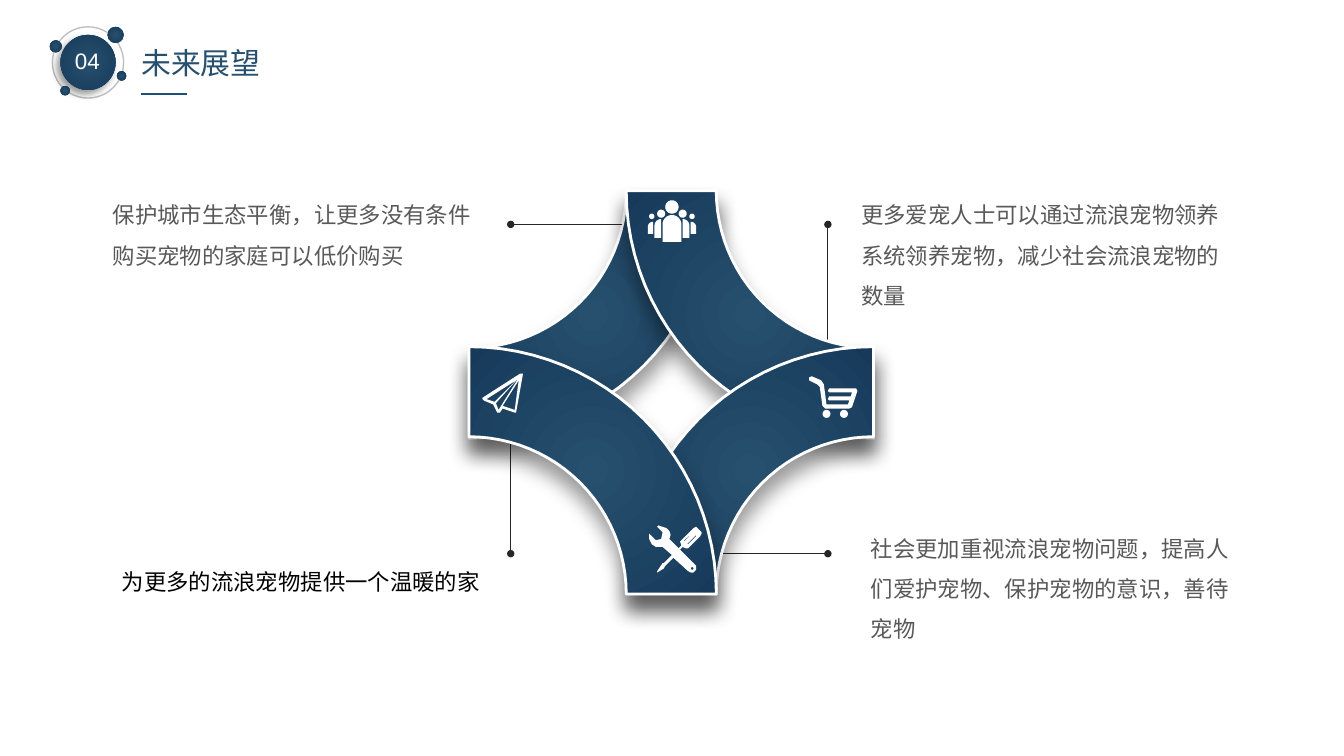
from math import cos, radians, sin

from lxml import etree
from pptx import Presentation
from pptx.dml.color import RGBColor
from pptx.enum.shapes import MSO_CONNECTOR, MSO_SHAPE
from pptx.enum.text import MSO_ANCHOR, PP_ALIGN
from pptx.oxml import parse_xml
from pptx.oxml.ns import qn
from pptx.util import Inches, Pt

OVAL, STRAIGHT = MSO_SHAPE.OVAL, MSO_CONNECTOR.STRAIGHT
LEFT, CENTER, RIGHT = PP_ALIGN.LEFT, PP_ALIGN.CENTER, PP_ALIGN.RIGHT
NS = 'xmlns:a="http://schemas.openxmlformats.org/drawingml/2006/main"'
NAVY, DEEP, WHITE, GREY = "27506E", "173A5B", "FFFFFF", "595959"
WIDTH = 10
HEIGHT = WIDTH * 9 / 16

TITLE = "未来展望"
NUMBER = "04"
# text, left, top, width, height, line spacing, colour, alignment
NOTES = [
    ("更多爱宠人士可以通过流浪宠物领养系统领养宠物，减少社会流浪宠物的数量",
     6.31, 1.35, 2.95, 1.01, 1.5, GREY, LEFT),
    ("社会更加重视流浪宠物问题，提高人们爱护宠物、保护宠物的意识，善待宠物",
     6.38, 3.83, 2.95, 1.01, 1.5, GREY, LEFT),
    ("为更多的流浪宠物提供一个温暖的家",
     0.52, 4.18, 3.15, 0.3, 1, "000000", RIGHT),
    ("保护城市生态平衡，让更多没有条件购买宠物的家庭可以低价购买",
     0.74, 1.35, 2.95, 0.71, 1.5, GREY, LEFT),
]
# left, top, diameter
BADGE = (0.45, 0.26, 0.41)
RING = (0.39, 0.2, 0.53)
DOTS = [(0.8, 0.2, 0.12), (0.37, 0.3, 0.09), (0.45, 0.64, 0.07), (0.87, 0.53, 0.07)]
# each leader ends in a dot
LEADERS = [(4.63, 1.67, 3.8, 1.67), (3.8, 3.3, 3.8, 4.12),
           (5.37, 4.12, 6.16, 4.12), (6.16, 2.54, 6.16, 1.67)]
# each band is a quarter ring about one corner of a square
X1, X2, Y1, Y2 = 3.49, 6.5, 1.42, 4.42
OUTER, INNER = 1.84, 1.17
BAND_SHADOW, BADGE_SHADOW = (11, 8, 90), (4, 3, 135)


def arc(cx, cy, r, start, end, steps=24):
    angles = [radians(start + (end - start) * i / steps) for i in range(steps + 1)]
    return [(cx + r * cos(a), cy + r * sin(a)) for a in angles]


def circle(cx, cy, r):
    return arc(cx, cy, r, 0, 360)


def mirror(points, axis=5.0):
    return [(2 * axis - x, y) for x, y in points]


SIDE_PEOPLE = [
    circle(4.85, 1.61, 0.02),
    circle(4.92, 1.59, 0.03),
    arc(4.86, 1.69, 0.04, 180, 270) + [(4.86, 1.74), (4.82, 1.74)],
    arc(4.92, 1.68, 0.05, 180, 270) + [(4.92, 1.77), (4.87, 1.77)],
]
PEOPLE = SIDE_PEOPLE + [mirror(part) for part in SIDE_PEOPLE] + [
    circle(5, 1.54, 0.05),
    arc(5, 1.67, 0.07, 180, 360) + [(5.07, 1.8), (4.93, 1.8)],
]
CART = [
    [(6.37, 2.89), (6.17, 2.89), (6.16, 2.91), (6.17, 2.92), (6.34, 2.92),
     (6.33, 2.95), (6.17, 2.95), (6.16, 2.97), (6.17, 2.98), (6.32, 2.98),
     (6.31, 3.01), (6.15, 3.01), (6.13, 2.86), (6.11, 2.83), (6.04, 2.8),
     (6.02, 2.81), (6.02, 2.83), (6.08, 2.86), (6.1, 2.88), (6.12, 3.02),
     (6.14, 3.04), (6.32, 3.04), (6.34, 3.03), (6.38, 2.91)],
]
# left, top, diameter
WHEELS = [(6.12, 3.05, 0.06), (6.25, 3.05, 0.06)]
TOOLS = [
    [(5.22, 3.96), (5.18, 3.92), (5.16, 3.93), (5.06, 4.03), (5.07, 4.06),
     (5.05, 4.08), (4.98, 4.01), (4.99, 3.98), (4.98, 3.95), (4.96, 3.93),
     (4.93, 3.92), (4.9, 3.91), (4.89, 3.92), (4.93, 3.96), (4.92, 4.01),
     (4.88, 4.02), (4.83, 3.97), (4.83, 4.01), (4.85, 4.05), (4.88, 4.07),
     (4.93, 4.07), (5, 4.13), (4.94, 4.19), (4.93, 4.19), (4.89, 4.25),
     (4.89, 4.26), (4.94, 4.23), (4.95, 4.21), (5.01, 4.15), (5.12, 4.25),
     (5.14, 4.26), (5.16, 4.26), (5.18, 4.24), (5.18, 4.21), (5.06, 4.09),
     (5.08, 4.07), (5.1, 4.08), (5.12, 4.08), (5.21, 3.99), (5.22, 3.97)],
    circle(5.15, 4.23, 0.01),
    [(5.09, 4.03), (5.09, 4.02), (5.16, 3.96)],
    [(5.12, 4.05), (5.11, 4.05), (5.18, 3.98), (5.18, 3.99)],
]
PLANE = [
    [(3.89, 2.78), (3.87, 2.78), (3.59, 2.96), (3.59, 2.97), (3.6, 2.98),
     (3.67, 3.01), (3.7, 3.07), (3.72, 3.07), (3.74, 3.04), (3.83, 3.07),
     (3.84, 3.07), (3.89, 2.79)],
    [(3.83, 3.05), (3.74, 3.02), (3.86, 2.83)],
    [(3.69, 3), (3.86, 2.81), (3.71, 3.05)],
    [(3.62, 2.97), (3.84, 2.83), (3.68, 2.99)],
]


def color(value):
    return RGBColor.from_string(value)


def set_line(line, value, width):
    line.color.rgb = color(value)
    line.width = Pt(width)


def style(s, fill=None, line=None, shadow=None):
    """Fill is a hex string, 'radial' or None; shadow is blur, distance, angle."""
    s.shadow.inherit = False
    s.fill.background()
    if fill == "radial":
        stops = "".join(f'<a:gs pos="{pos}"><a:srgbClr val="{c}"/></a:gs>'
                        for pos, c in ((0, NAVY), (100000, DEEP)))
        grad = parse_xml(
            f'<a:gradFill {NS}><a:gsLst>{stops}</a:gsLst><a:path path="circle">'
            '<a:fillToRect l="50000" t="50000" r="50000" b="50000"/>'
            '</a:path></a:gradFill>')
        pr = s._element.spPr
        pr.replace(pr.find(qn("a:noFill")), grad)
    elif fill:
        s.fill.solid()
        s.fill.fore_color.rgb = color(fill)
    if line:
        set_line(s.line, *line)
    else:
        s.line.fill.background()
    if shadow:
        blur, dist, angle = shadow
        s._element.spPr.find(qn("a:effectLst")).append(parse_xml(
            f'<a:outerShdw {NS} blurRad="{Pt(blur)}" dist="{Pt(dist)}" '
            f'dir="{angle * 60000}" algn="ctr" rotWithShape="0"><a:srgbClr val="000000">'
            '<a:alpha val="40000"/></a:srgbClr></a:outerShdw>'))


def add_oval(shapes, left, top, size, **look):
    style(shapes.add_shape(OVAL, *map(Inches, (left, top, size, size))), **look)


def add_outline(shapes, contours, **look):
    """Draw closed contours as one shape; inner contours become holes."""
    contours = [[(Inches(x), Inches(y)) for x, y in c] for c in contours]
    builder = shapes.build_freeform(*contours[0][0], scale=1.0)
    for i, points in enumerate(contours):
        if i:
            builder.move_to(*points[0])
        builder.add_line_segments(points[1:], close=True)
    style(builder.convert_to_shape(), **look)


def add_band(shapes, cx, cy, start):
    ring = arc(cx, cy, OUTER, start, start + 90) + arc(cx, cy, INNER, start + 90, start)
    add_outline(shapes, [ring], fill="radial", line=(WHITE, 1.5), shadow=BAND_SHADOW)


def add_line(shapes, x1, y1, x2, y2, value, width, dot=False):
    s = shapes.add_connector(STRAIGHT, *map(Inches, (x1, y1, x2, y2)))
    set_line(s.line, value, width)
    if dot:
        etree.SubElement(s.line._get_or_add_ln(), qn("a:tailEnd"), type="oval", w="sm", len="sm")
    etree.SubElement(s._element.spPr, qn("a:effectLst"))


def write(s, text, box, size, value, align=LEFT, spacing=1, wrap=True):
    s.left, s.top, s.width, s.height = map(Inches, box)
    tf = s.text_frame
    tf.word_wrap, tf.vertical_anchor = wrap, MSO_ANCHOR.TOP
    p = tf.paragraphs[0]
    p.alignment, p.line_spacing = align, spacing
    r = p.add_run()
    r.text = text
    for name, setting in {"size": Pt(size), "name": "Arial"}.items():
        setattr(r.font, name, setting)
    r.font.color.rgb = color(value)


def main():
    prs = Presentation()
    prs.slide_width, prs.slide_height = Inches(WIDTH), Inches(HEIGHT)
    shapes = prs.slides.add_slide(prs.slide_layouts[5]).shapes

    add_oval(shapes, *RING, line=("BFBFBF", 0.75))
    add_oval(shapes, *BADGE, fill="radial", shadow=BADGE_SHADOW)
    for dot in DOTS:
        add_oval(shapes, *dot, fill="radial")
    write(shapes.title, TITLE, (0.95, 0.28, 1.09, 0.37), 16, NAVY, CENTER, wrap=False)
    add_line(shapes, 1.05, 0.7, 1.39, 0.7, "1F4E79", 1.5)
    write(shapes.add_textbox(0, 0, 0, 0), NUMBER, (0.46, 0.3, 0.4, 0.3), 12, WHITE)

    add_band(shapes, X1, Y1, 0)
    for leader in LEADERS:
        add_line(shapes, *leader, "262626", 0.5, dot=True)
    for cx, cy, start, icon in ((X2, Y1, 90, PEOPLE), (X2, Y2, 180, CART), (X1, Y2, 270, TOOLS)):
        add_band(shapes, cx, cy, start)
        add_outline(shapes, icon, fill=WHITE)
    for wheel in WHEELS:
        add_oval(shapes, *wheel, fill=WHITE)
    add_outline(shapes, PLANE, fill=WHITE)

    for text, left, top, width, height, spacing, value, align in NOTES:
        write(shapes.add_textbox(0, 0, 0, 0), text, (left, top, width, height),
              12, value, align, spacing)
    prs.save("out.pptx")


if __name__ == "__main__":
    main()
